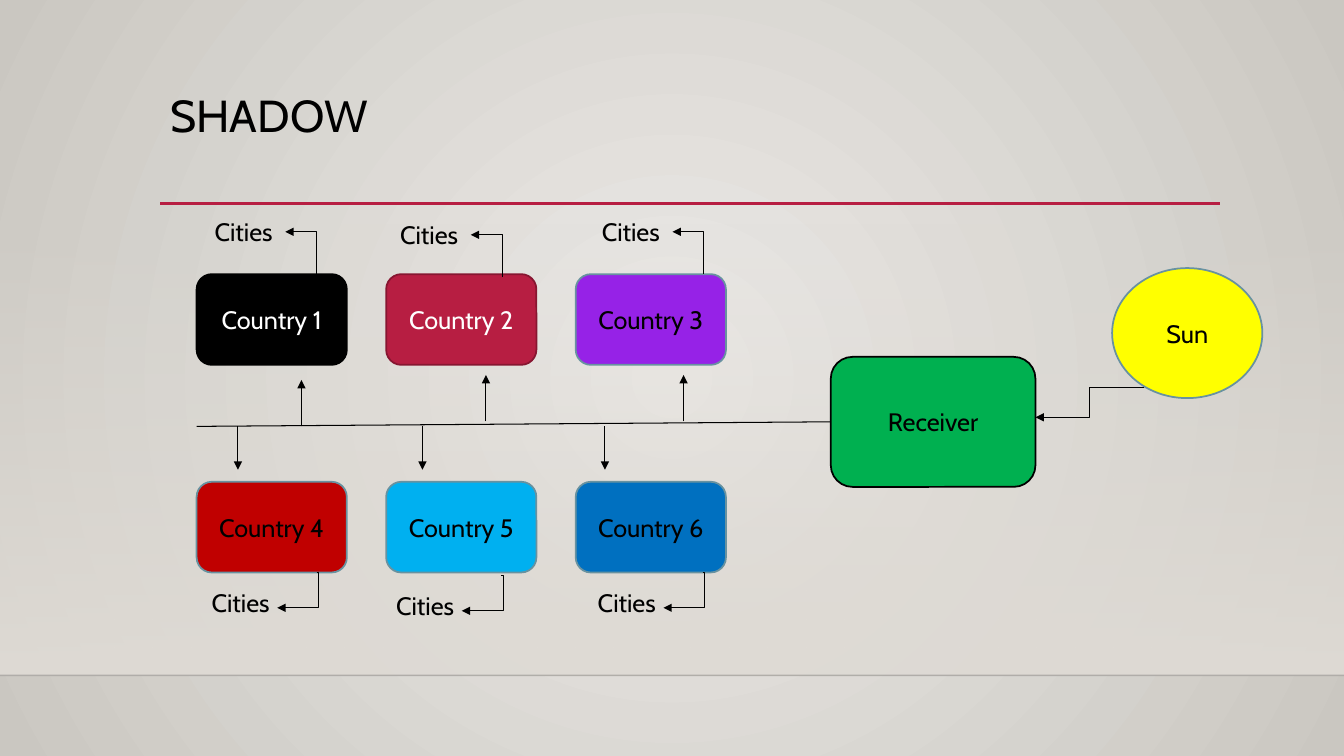
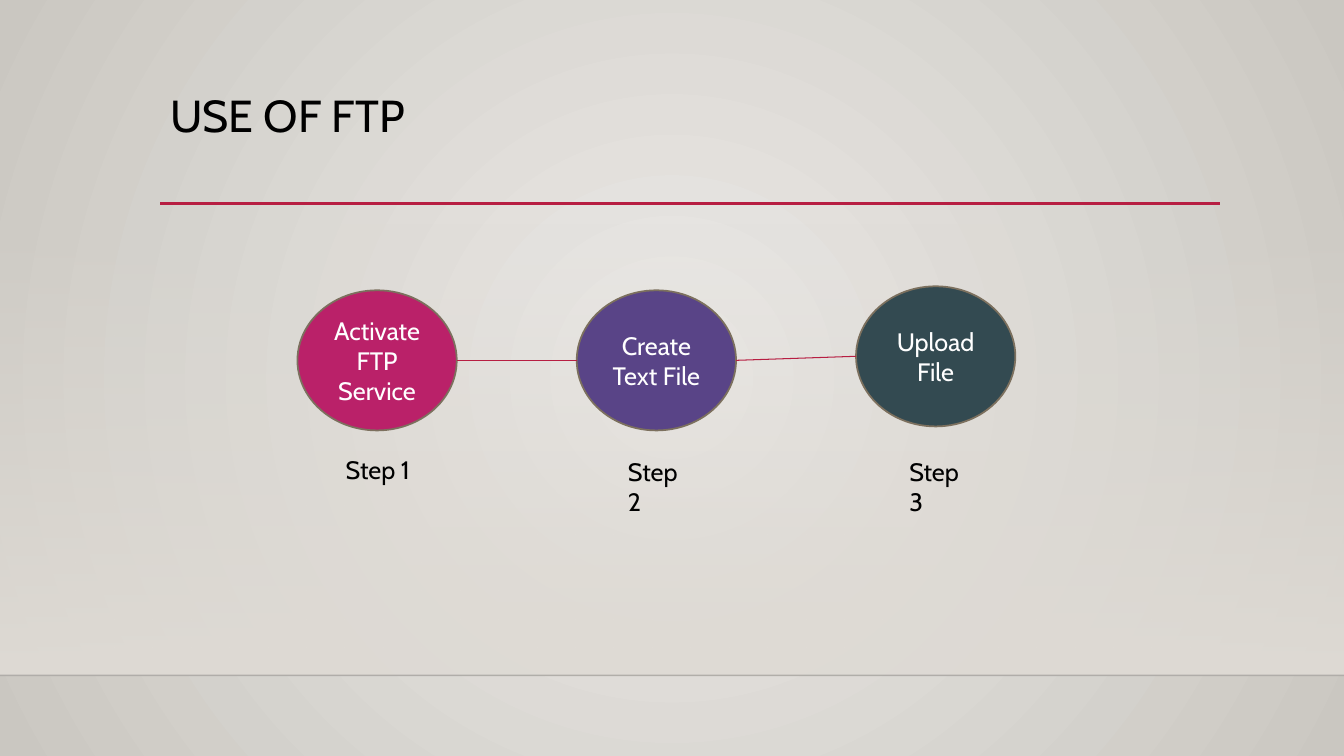
from dataclasses import dataclass

import lxml.etree
import pptx
import pptx.dml.color
import pptx.enum.shapes
import pptx.enum.text
import pptx.oxml.ns
import pptx.util
from pptx.util import Inches

RGBColor = pptx.dml.color.RGBColor
SHAPE = pptx.enum.shapes.MSO_SHAPE
CONNECTOR = pptx.enum.shapes.MSO_CONNECTOR
qn = pptx.oxml.ns.qn

FONT = "Cabin"
BODY_SIZE = 18
TITLE_SIZE = 32
BLACK = RGBColor(0x00, 0x00, 0x00)
WHITE = RGBColor(0xFF, 0xFF, 0xFF)
CRIMSON = RGBColor(0xB7, 0x1E, 0x42)
DARK_CRIMSON = RGBColor(0x87, 0x16, 0x31)
STEEL = RGBColor(0x68, 0x92, 0xA0)
TAUPE = RGBColor(0x7C, 0x70, 0x5E)
YELLOW = RGBColor(0xFF, 0xFF, 0x00)
GREEN = RGBColor(0x00, 0xB0, 0x50)
VIOLET = RGBColor(0x96, 0x22, 0xE7)
RED = RGBColor(0xC0, 0x00, 0x00)
SKY = RGBColor(0x00, 0xB0, 0xF0)
BLUE = RGBColor(0x00, 0x70, 0xC0)
MAGENTA = RGBColor(0xBA, 0x21, 0x69)
PURPLE = RGBColor(0x59, 0x44, 0x87)
SLATE = RGBColor(0x33, 0x4A, 0x51)
PAPER_LIGHT = RGBColor(0xEC, 0xEA, 0xE7)
PAPER_DARK = RGBColor(0xCA, 0xC7, 0xC1)
WALL = RGBColor(0xDF, 0xDB, 0xD5)
FLOOR_EDGE = RGBColor(0x00, 0x00, 0x01)

SLIDE_WIDTH, SLIDE_HEIGHT = 13.33, 7.5
FLOOR_Y = 6.7

Point = tuple[float, float]


@dataclass(frozen=True)
class Node:
    text: str
    left: float
    top: float
    width: float
    height: float
    fill: RGBColor
    line: RGBColor = STEEL
    font: RGBColor = BLACK
    outline: SHAPE = SHAPE.ROUNDED_RECTANGLE


@dataclass(frozen=True)
class Country:
    name: str
    fill: RGBColor
    line: RGBColor = STEEL
    font: RGBColor = BLACK


@dataclass(frozen=True)
class CountryRow:
    top: float
    countries: tuple[Country, ...]
    city_labels: tuple[Point, ...]
    elbow_start: Point  # offsets from the label's corner
    elbow_end: Point
    bend: int


@dataclass(frozen=True)
class Step:
    label: str
    task: str
    fill: RGBColor
    oval_top: float
    label_left: float
    label_top: float
    label_width: float
    wrap: bool


COUNTRY_LEFT, COUNTRY_PITCH = 1.95, 1.88
COUNTRY_WIDTH, COUNTRY_HEIGHT = 1.49, 0.9
COUNTRY_ROWS = (
    CountryRow(
        2.72,
        (Country("Country 1", BLACK, BLACK, WHITE),
         Country("Country 2", CRIMSON, DARK_CRIMSON, WHITE),
         Country("Country 3", VIOLET)),
        ((2.03, 2.1), (3.87, 2.13), (5.87, 2.1)),
        (1.11, 0.62), (0.8, 0.2), 0),
    CountryRow(
        4.78,
        (Country("Country 4", RED), Country("Country 5", SKY), Country("Country 6", BLUE)),
        ((2, 5.78), (3.83, 5.81), (5.83, 5.78)),
        (1.14, -0.1), (0.75, 0.25), -5556),
)
BRANCHES = (
    ((2.99, 4.23), (2.99, 3.77)),
    ((4.82, 4.18), (4.82, 3.72)),
    ((6.78, 4.18), (6.78, 3.72)),
    *(((x, 4.23), (x, 4.66)) for x in (2.36, 4.19, 6)),
)

OVAL_LEFT, OVAL_PITCH = 2.95, 2.77
OVAL_WIDTH, OVAL_HEIGHT = 1.58, 1.39
STEPS = (
    Step("Step 1", "Activate FTP Service", MAGENTA, 2.88, 3.33, 4.46, 0.85, False),
    Step("Step 2", "Create Text File", PURPLE, 2.88, 6.13, 4.48, 0.8, True),
    Step("Step 3", "Upload File", SLATE, 2.84, 8.92, 4.48, 0.8, True),
)


def set_alpha(color_parent, percent: int) -> None:
    """Give the first RGB colour inside an XML element an opacity."""
    color = next(color_parent.iter(qn("a:srgbClr")))
    lxml.etree.SubElement(color, qn("a:alpha")).set("val", str(percent * 1000))


def set_gradient(fill, start: RGBColor, end: RGBColor) -> None:
    fill.gradient()
    for stop, position, color in zip(fill.gradient_stops, (0, 1), (start, end)):
        stop.position = position
        stop.color.rgb = color


def write(shape, text: str, size: int, color: RGBColor):
    paragraph = shape.text_frame.paragraphs[0]
    paragraph.text = text
    paragraph.font.name = FONT
    paragraph.font.size = pptx.util.Pt(size)
    paragraph.font.color.rgb = color
    return paragraph


def add_label(slide, text: str, left: float, top: float, width: float,
              height: float = 0.4, size: int = BODY_SIZE, wrap: bool = False):
    label = slide.shapes.add_textbox(Inches(left), Inches(top), Inches(width), Inches(height))
    label.text_frame.word_wrap = wrap
    return write(label, text, size, BLACK)


def add_node(slide, node: Node):
    shape = slide.shapes.add_shape(node.outline, Inches(node.left), Inches(node.top),
                                   Inches(node.width), Inches(node.height))
    shape.shadow.inherit = False
    shape.fill.solid()
    shape.fill.fore_color.rgb = node.fill
    shape.line.color.rgb = node.line
    shape.line.width = pptx.util.Pt(1.25)
    shape.text_frame.word_wrap = True
    shape.text_frame.vertical_anchor = pptx.enum.text.MSO_ANCHOR.MIDDLE
    write(shape, node.text, BODY_SIZE, node.font).alignment = pptx.enum.text.PP_ALIGN.CENTER
    return shape


def add_line(slide, start: Point, end: Point, color: RGBColor = BLACK, width: float = 0.75,
             arrow: bool = False, bend: int | None = None):
    """Draw a line; bend, in thousandths of a percent, places an elbow's turn."""
    kind = CONNECTOR.STRAIGHT if bend is None else CONNECTOR.ELBOW
    line = slide.shapes.add_connector(kind, *(Inches(v) for v in (*start, *end)))
    line.line.color.rgb = color
    line.line.width = pptx.util.Pt(width)
    properties = line._element.spPr
    lxml.etree.SubElement(properties, qn("a:effectLst"))
    if arrow:
        tail = lxml.etree.SubElement(properties.find(qn("a:ln")), qn("a:tailEnd"))
        tail.set("type", "triangle")
    if bend is not None:
        guide = lxml.etree.SubElement(next(properties.iter(qn("a:avLst"))), qn("a:gd"))
        guide.set("name", "adj1")
        guide.set("fmla", f"val {bend}")
    return line


def paint_background(slide) -> None:
    set_gradient(slide.background.fill, PAPER_LIGHT, PAPER_DARK)
    gradient = next(slide._element.iter(qn("a:gradFill")))
    gradient.remove(gradient.find(qn("a:lin")))
    circle = lxml.etree.SubElement(gradient, qn("a:path"))
    circle.set("path", "circle")
    center = lxml.etree.SubElement(circle, qn("a:fillToRect"))
    for side in "ltrb":
        center.set(side, "50000")


def add_titled_slide(deck, title: str):
    """Add a slide with the shared backdrop, rule and title."""
    slide = deck.slides.add_slide(deck.slide_layouts[6])
    paint_background(slide)

    wall = slide.shapes.add_shape(SHAPE.RECTANGLE, 0, Inches(2.21),
                                  Inches(SLIDE_WIDTH), Inches(FLOOR_Y - 2.21))
    wall.shadow.inherit = False
    wall.line.fill.background()
    set_gradient(wall.fill, WALL, WALL)
    wall.fill.gradient_angle = 270
    set_alpha(next(wall._element.iter(qn("a:gs"))), 0)

    floor = add_line(slide, (0, FLOOR_Y), (SLIDE_WIDTH, FLOOR_Y), FLOOR_EDGE, 1)
    set_alpha(floor._element.spPr, 20)
    add_line(slide, (1.59, 2.02), (12.1, 2.02), CRIMSON, 2.5)
    add_label(slide, title, 1.59, 0.88, 10.5, 1.15, TITLE_SIZE, True).line_spacing = 0.9
    return slide


def build_shadow_slide(deck) -> None:
    slide = add_titled_slide(deck, "SHADOW")
    add_node(slide, Node("Sun", 11.03, 2.66, 1.49, 1.29, YELLOW, outline=SHAPE.OVAL))
    receiver = add_node(slide, Node("Receiver", 8.24, 3.54, 2.03, 1.29, GREEN, BLACK))
    add_line(slide, (11.35, 3.84), (10.27, 4.14), arrow=True, bend=50000)
    bus = add_line(slide, (1.95, 4.23), (8.24, 4.18))
    bus.end_connect(receiver, 1)
    for start, end in BRANCHES:
        add_line(slide, start, end, arrow=True)

    for row in COUNTRY_ROWS:
        for column, (country, (x, y)) in enumerate(zip(row.countries, row.city_labels)):
            add_node(slide, Node(country.name, COUNTRY_LEFT + column * COUNTRY_PITCH, row.top,
                                 COUNTRY_WIDTH, COUNTRY_HEIGHT,
                                 country.fill, country.line, country.font))
            add_label(slide, "Cities", x, y, 0.79)
            add_line(slide, (x + row.elbow_start[0], y + row.elbow_start[1]),
                     (x + row.elbow_end[0], y + row.elbow_end[1]), arrow=True, bend=row.bend)


def build_ftp_slide(deck) -> None:
    slide = add_titled_slide(deck, "USE OF FTP")
    previous_side = None
    for column, step in enumerate(STEPS):
        left = OVAL_LEFT + column * OVAL_PITCH
        middle = step.oval_top + OVAL_HEIGHT / 2
        add_node(slide, Node(step.task, left, step.oval_top, OVAL_WIDTH, OVAL_HEIGHT,
                             step.fill, TAUPE, WHITE, SHAPE.OVAL))
        if previous_side:
            add_line(slide, previous_side, (left, middle), CRIMSON)
        previous_side = (left + OVAL_WIDTH, middle)
        add_label(slide, step.label, step.label_left, step.label_top, step.label_width,
                  wrap=step.wrap)


def main() -> None:
    deck = pptx.Presentation()
    deck.slide_width = Inches(SLIDE_WIDTH)
    deck.slide_height = Inches(SLIDE_HEIGHT)
    build_shadow_slide(deck)
    build_ftp_slide(deck)
    deck.save("out.pptx")


if __name__ == "__main__":
    main()
